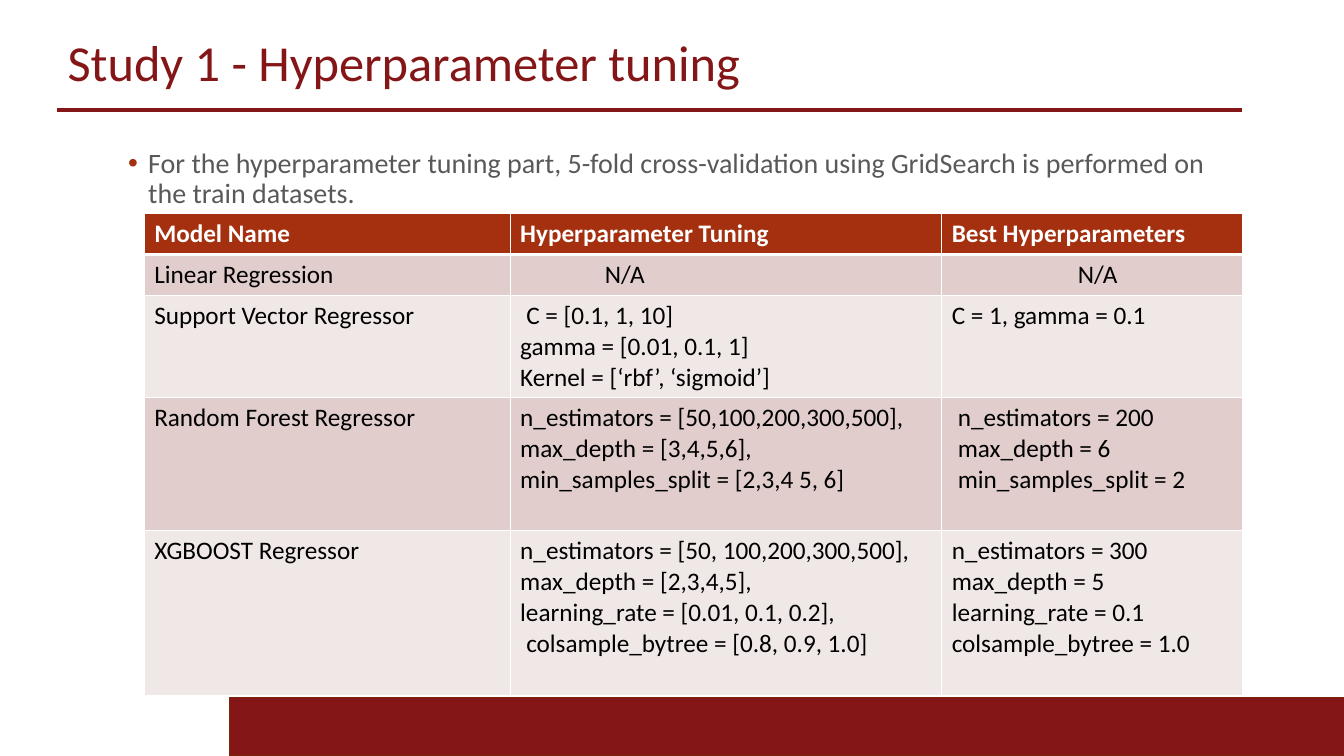
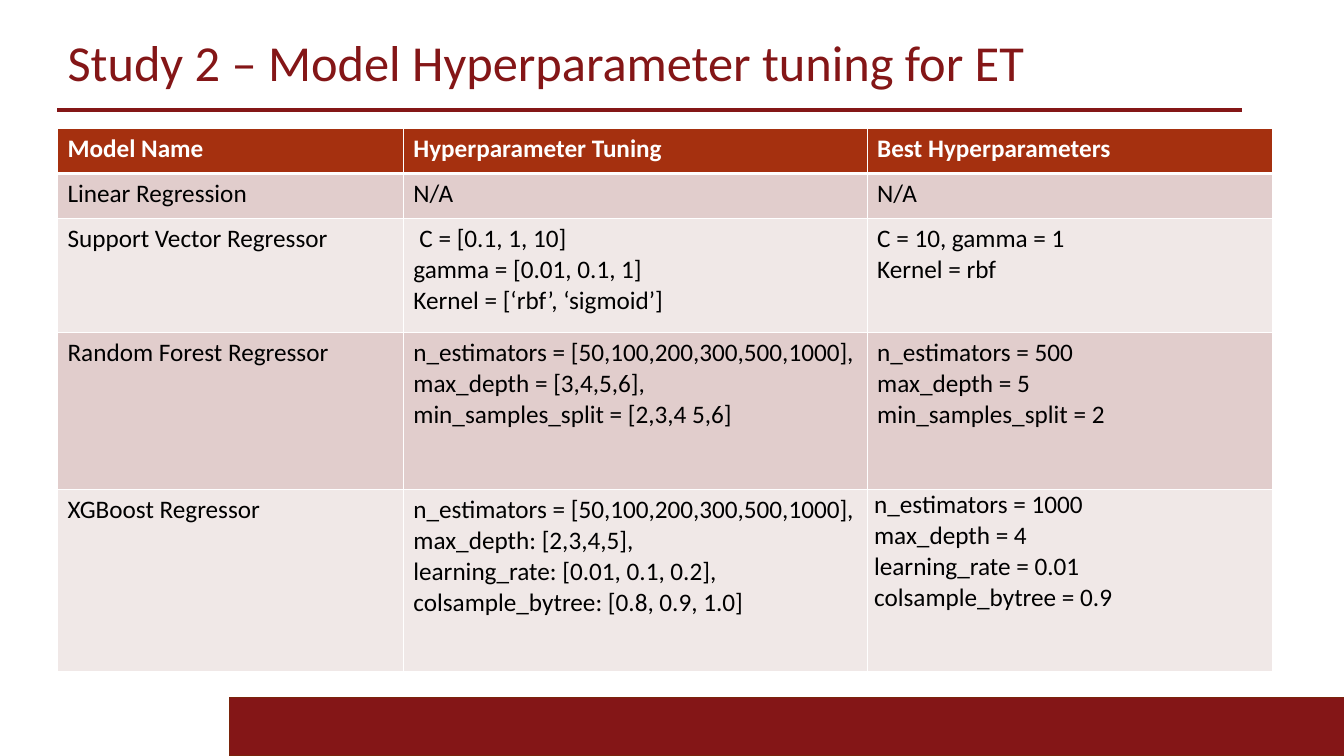
from dataclasses import dataclass
from typing import NamedTuple

import pptx
import pptx.dml.color
import pptx.enum.shapes
import pptx.enum.text
import pptx.oxml.ns
import pptx.presentation
import pptx.shapes.base
import pptx.slide
import pptx.table
import pptx.text.text
import pptx.util
from lxml import etree

EMU_PER_PX = 9144  # 100 px to the inch
FONT = "Calibri"
CRIMSON = "841617"
BAND_EDGE = "7A240B"
RUST = "A5300F"
GREY = "595959"
BLACK = "000000"
WHITE = "FFFFFF"
ROW_FILLS = ("E1CDCC", "F0E8E7")
HEADINGS = ("Model Name", "Hyperparameter Tuning", "Best Hyperparameters")
TITLE_AND_CONTENT, TITLE_ONLY = 1, 5


class Box(NamedTuple):
    left: int
    top: int
    width: int
    height: int


class Line(NamedTuple):
    text: str
    indent: int = 0


@dataclass(frozen=True)
class Cell:
    lines: tuple[Line, ...]
    side_margin: int = 10
    top_margin: int = 5


@dataclass(frozen=True)
class ModelTable:
    left: int
    top: int
    columns: tuple[int, ...]
    rows: tuple[int, ...]
    cells: tuple[tuple[Cell, ...], ...]


@dataclass(frozen=True)
class StudySlide:
    title: str
    table: ModelTable
    bullet: str = ""


TITLE_BOX = Box(57, 29, 1171, 71)
BULLET_BOX = Box(117, 143, 1115, 66)
BAND_BOX = Box(228, 692, 1106, 58)
RULE_LEFT, RULE_RIGHT, RULE_TOP = 57, 1232, 109


def px(length: int) -> pptx.util.Emu:
    return pptx.util.Emu(length * EMU_PER_PX)


def color(value: str) -> pptx.dml.color.RGBColor:
    return pptx.dml.color.RGBColor.from_string(value)


def lines(*texts: str, indent: int = 0) -> Cell:
    return Cell(tuple(Line(text, indent) for text in texts))


def add_child(parent: etree._Element, tag: str, **attributes: str) -> etree._Element:
    return etree.SubElement(parent, pptx.oxml.ns.qn(tag), **attributes)


def write(paragraph: pptx.text.text._Paragraph, text: str, *, size: int = 18,
          font_color: str = BLACK, bold: bool = False, line_spacing: float = 1.0,
          indent: int = 0, bullet_color: str = "") -> None:
    """Fill one paragraph; a bullet hangs to the left of the indent."""
    properties = paragraph._p.get_or_add_pPr()
    properties.set("marL", str(px(indent)))
    properties.set("indent", str(px(-indent if bullet_color else 0)))
    if bullet_color:
        bullet_fill = add_child(properties, "a:buClr")
        add_child(bullet_fill, "a:srgbClr", val=bullet_color)
        add_child(properties, "a:buFont", typeface="Arial")
        add_child(properties, "a:buChar", char="•")
    paragraph.alignment = pptx.enum.text.PP_ALIGN.LEFT
    paragraph.line_spacing = line_spacing
    paragraph.space_before = pptx.util.Pt(0)
    run = paragraph.add_run()
    run.text = text
    run.font.name = FONT
    run.font.size = pptx.util.Pt(size)
    run.font.bold = bold
    run.font.color.rgb = color(font_color)


def place(shape: pptx.shapes.base.BaseShape, box: Box) -> None:
    shape.left, shape.top, shape.width, shape.height = map(px, box)


def fill_placeholder(shape: pptx.shapes.base.BaseShape, box: Box, text: str,
                     anchor: pptx.enum.text.MSO_ANCHOR, **text_format) -> None:
    place(shape, box)
    frame = shape.text_frame
    frame.auto_size = pptx.enum.text.MSO_AUTO_SIZE.NONE
    frame.word_wrap = True
    frame.vertical_anchor = anchor
    write(frame.paragraphs[0], text, line_spacing=0.9, **text_format)


def add_frame(slide: pptx.slide.Slide) -> None:
    """Draw the footer band and the rule under the title."""
    band = slide.shapes.add_shape(
        pptx.enum.shapes.MSO_SHAPE.RECTANGLE, *map(px, BAND_BOX))
    band.shadow.inherit = False
    band.fill.solid()
    band.fill.fore_color.rgb = color(CRIMSON)
    band.line.color.rgb = color(BAND_EDGE)
    band.line.width = pptx.util.Pt(0.85)

    rule = slide.shapes.add_connector(
        pptx.enum.shapes.MSO_CONNECTOR.STRAIGHT,
        px(RULE_LEFT), px(RULE_TOP), px(RULE_RIGHT), px(RULE_TOP))
    rule.line.color.rgb = color(CRIMSON)
    rule.line.width = pptx.util.Pt(2.5)
    add_child(rule._element.spPr, "a:effectLst")


def set_borders(cell: pptx.table._Cell, **widths: int) -> None:
    """Draw white borders; widths are points by side name L, R, T or B."""
    properties = cell._tc.get_or_add_tcPr()
    for side, width in widths.items():
        border = add_child(properties, f"a:ln{side}", w=str(pptx.util.Pt(width)))
        border_fill = add_child(border, "a:solidFill")
        add_child(border_fill, "a:srgbClr", val=WHITE)


def fill_cell(cell: pptx.table._Cell, content: Cell, row_index: int) -> None:
    is_heading = row_index == 0
    set_borders(cell, L=1, R=1, T=3 if row_index == 1 else 1, B=3 if is_heading else 1)
    cell.fill.solid()
    cell.fill.fore_color.rgb = color(RUST if is_heading else ROW_FILLS[(row_index - 1) % 2])
    cell.margin_left = cell.margin_right = px(content.side_margin)
    cell.margin_top = cell.margin_bottom = px(content.top_margin)
    frame = cell.text_frame
    for index, line in enumerate(content.lines):
        paragraph = frame.add_paragraph() if index else frame.paragraphs[0]
        write(paragraph, line.text, indent=line.indent, bold=is_heading,
              font_color=WHITE if is_heading else BLACK)


def add_model_table(slide: pptx.slide.Slide, model_table: ModelTable) -> None:
    contents = (tuple(lines(heading) for heading in HEADINGS), *model_table.cells)
    box = Box(model_table.left, model_table.top,
              sum(model_table.columns), sum(model_table.rows))
    table = slide.shapes.add_table(
        len(contents), len(HEADINGS), *map(px, box)).table
    for column, width in zip(table.columns, model_table.columns):
        column.width = px(width)
    for row_index, (row, height) in enumerate(zip(table.rows, model_table.rows)):
        row.height = px(height)
        for cell, content in zip(row.cells, contents[row_index]):
            fill_cell(cell, content, row_index)


def add_study_slide(presentation: pptx.presentation.Presentation, study: StudySlide) -> None:
    layout = TITLE_AND_CONTENT if study.bullet else TITLE_ONLY
    slide = presentation.slides.add_slide(presentation.slide_layouts[layout])
    add_frame(slide)
    fill_placeholder(slide.shapes.title, TITLE_BOX, study.title,
                     pptx.enum.text.MSO_ANCHOR.MIDDLE, size=36, font_color=CRIMSON)
    if study.bullet:
        fill_placeholder(slide.placeholders[1], BULLET_BOX, study.bullet,
                         pptx.enum.text.MSO_ANCHOR.TOP, size=20, font_color=GREY,
                         indent=20, bullet_color=RUST)
    add_model_table(slide, study.table)


LINEAR = lines("Linear Regression")
SUPPORT_VECTOR = lines("Support Vector Regressor")
FOREST = lines("Random Forest Regressor")
SUPPORT_VECTOR_GRID = Cell((
    Line("C = [0.1, 1, 10]", indent=6),
    Line("gamma = [0.01, 0.1, 1]"),
    Line("Kernel = [‘rbf’, ‘sigmoid’]"),
))

STUDIES = (
    StudySlide(
        title="Study 1 - Hyperparameter tuning",
        bullet="For the hyperparameter tuning part, 5-fold cross-validation using "
               "GridSearch is performed on the train datasets.",
        table=ModelTable(
            left=143, top=212, columns=(363, 428, 298), rows=(40, 40, 101, 132, 163),
            cells=(
                (LINEAR, lines("N/A", indent=84), lines("N/A", indent=125)),
                (SUPPORT_VECTOR, SUPPORT_VECTOR_GRID, lines("C = 1, gamma = 0.1")),
                (FOREST,
                 lines("n_estimators = [50,100,200,300,500],", "max_depth = [3,4,5,6],",
                       "min_samples_split = [2,3,4 5, 6]"),
                 lines("n_estimators = 200", "max_depth = 6",
                       "min_samples_split = 2", indent=6)),
                (lines("XGBOOST Regressor"),
                 Cell((Line("n_estimators = [50, 100,200,300,500],"),
                       Line("max_depth = [2,3,4,5],"),
                       Line("learning_rate = [0.01, 0.1, 0.2],"),
                       Line("colsample_bytree = [0.8, 0.9, 1.0]", indent=6))),
                 lines("n_estimators = 300", "max_depth = 5",
                       "learning_rate = 0.1", "colsample_bytree = 1.0")),
            ),
        ),
    ),
    StudySlide(
        title="Study 2 – Model Hyperparameter tuning for ET",
        table=ModelTable(
            left=57, top=127, columns=(343, 460, 402), rows=(45, 45, 113, 156, 180),
            cells=(
                (LINEAR, lines("N/A"), lines("N/A")),
                (SUPPORT_VECTOR, SUPPORT_VECTOR_GRID,
                 lines("C = 10, gamma = 1", "Kernel = rbf")),
                (FOREST,
                 lines("n_estimators = [50,100,200,300,500,1000],",
                       "max_depth = [3,4,5,6],", "min_samples_split = [2,3,4 5,6]"),
                 lines("n_estimators = 500", "max_depth = 5", "min_samples_split = 2")),
                (lines("XGBoost Regressor"),
                 lines("n_estimators = [50,100,200,300,500,1000],",
                       "max_depth: [2,3,4,5],", "learning_rate: [0.01, 0.1, 0.2],",
                       "colsample_bytree: [0.8, 0.9, 1.0]"),
                 Cell((Line("n_estimators = 1000"), Line("max_depth = 4"),
                       Line("learning_rate = 0.01"), Line("colsample_bytree = 0.9")),
                      side_margin=7, top_margin=0)),
            ),
        ),
    ),
)


def main() -> None:
    presentation = pptx.Presentation()
    presentation.slide_width = pptx.util.Inches(13.33)
    presentation.slide_height = pptx.util.Inches(7.5)
    for study in STUDIES:
        add_study_slide(presentation, study)
    presentation.save("out.pptx")


if __name__ == "__main__":
    main()
